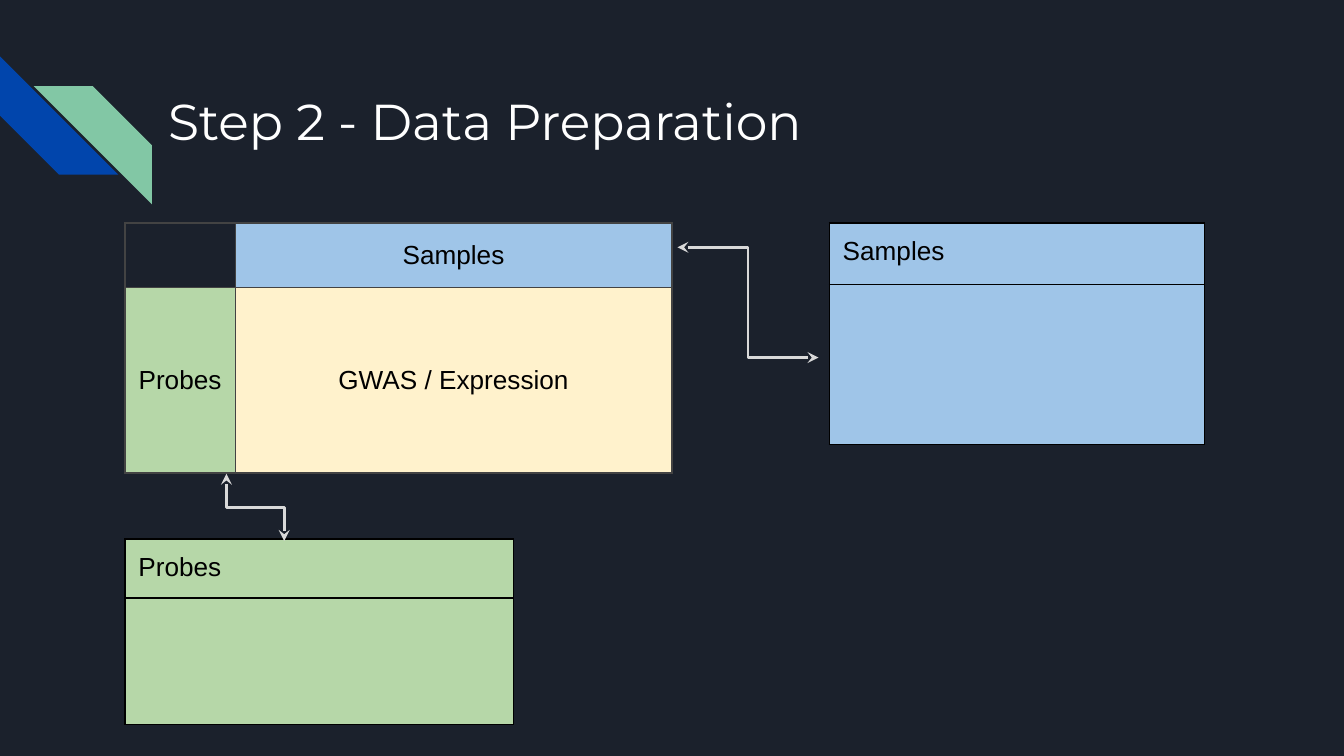
from lxml import etree
from pptx import Presentation, util as u
from pptx.dml.color import RGBColor
from pptx.enum import shapes, text
from pptx.oxml.ns import qn

WIDTH = 10
HEIGHT = WIDTH * 9 / 16
COLOURS = {
    "background": "1B212C", "white": "FFFFFF", "black": "000000",
    "stripe_blue": "0145AC", "stripe_green": "82C7A5",
    "samples": "9FC5E8", "probes": "B6D7A8", "expression": "FFF2CC",
    "grid": "434343", "arrow": "D9D9D9",
}
LEFT_EDGE, TABLE_TOP = 0.93, 1.66


def rgb(name):
    return RGBColor.from_string(COLOURS[name])


def write(frame, words, *, size=14, font="Arial", colour="black",
          align=text.PP_ALIGN.LEFT):
    paragraph = frame.paragraphs[0]
    paragraph.text = words
    paragraph.alignment = align
    paragraph.font.size = u.Pt(size)
    paragraph.font.name = font
    paragraph.font.color.rgb = rgb(colour)


def border(cell, colour, points=0.75):
    properties = cell._tc.get_or_add_tcPr()
    for position, side in enumerate(("lnL", "lnR", "lnT", "lnB")):
        line = etree.Element(qn("a:" + side), w=str(u.Pt(points)))
        fill = etree.SubElement(line, qn("a:solidFill"))
        etree.SubElement(fill, qn("a:srgbClr"), val=COLOURS[colour])
        properties.insert(position, line)


def add_heading(slide, left, top, width, height):
    title = slide.shapes.title
    title.left, title.top = u.Inches(left), u.Inches(top)
    title.width, title.height = u.Inches(width), u.Inches(height)
    frame = title.text_frame
    frame.word_wrap = True
    frame.auto_size = text.MSO_AUTO_SIZE.NONE
    frame.vertical_anchor = text.MSO_ANCHOR.TOP
    frame.margin_left = frame.margin_right = u.Inches(0.1)
    frame.margin_top = frame.margin_bottom = u.Inches(0.1)
    write(frame, "Step 2 - Data Preparation", size=27, font="Montserrat",
          colour="white")


def add_stripes(slide, left, top, size):
    """Two interlocking diagonal stripes beside the title."""
    for dx, dy, colour, turn, mirrored in (
            (0, 0, "stripe_blue", 270, False),
            (0.25, 0.22, "stripe_green", 0, True)):
        stripe = slide.shapes.add_shape(
            shapes.MSO_SHAPE.DIAGONAL_STRIPE, u.Inches(left + dx),
            u.Inches(top + dy), u.Inches(size), u.Inches(size))
        stripe.adjustments[0] = 0.5
        stripe.rotation = turn
        if mirrored:
            stripe._element.spPr.xfrm.set("flipH", "1")
        stripe.shadow.inherit = False
        stripe.fill.solid()
        stripe.fill.fore_color.rgb = rgb(colour)
        stripe.line.fill.background()


def add_grid(slide, left, top, columns, rows, cells, line, centred=False):
    """Table whose cells are (words, fill colour or None)."""
    table = slide.shapes.add_table(
        len(rows), len(columns), u.Inches(left), u.Inches(top),
        u.Inches(sum(columns)), u.Inches(sum(rows))).table
    table.first_row = table.horz_banding = False
    for column, width in zip(table.columns, columns):
        column.width = u.Inches(width)
    for row, height in zip(table.rows, rows):
        row.height = u.Inches(height)
    for cell, (words, fill) in zip(table.iter_cells(), cells):
        cell.margin_left = cell.margin_right = u.Inches(0.1)
        cell.margin_top = cell.margin_bottom = u.Inches(0.1)
        if centred:
            cell.vertical_anchor = text.MSO_ANCHOR.MIDDLE
        write(cell.text_frame, words, align=text.PP_ALIGN.CENTER if centred
              else text.PP_ALIGN.LEFT)
        if fill:
            cell.fill.solid()
            cell.fill.fore_color.rgb = rgb(fill)
        else:
            cell.fill.background()
        border(cell, line)


def add_link(slide, start, end, turn=0):
    """Elbow line with an arrowhead at each end."""
    link = slide.shapes.add_connector(
        shapes.MSO_CONNECTOR.ELBOW, *(u.Inches(v) for v in start + end))
    link.line.color.rgb = rgb("arrow")
    link.line.width = u.Pt(1.5)
    properties = link._element.spPr
    if turn:
        properties.xfrm.set("rot", str(turn * 60000))
    line = link.line._get_or_add_ln()
    for tip in ("a:headEnd", "a:tailEnd"):
        etree.SubElement(line, qn(tip), type="stealth", w="med", len="med")
    etree.SubElement(properties, qn("a:effectLst"))


def main():
    deck = Presentation()
    deck.slide_width, deck.slide_height = u.Inches(WIDTH), u.Inches(HEIGHT)
    slide = deck.slides.add_slide(deck.slide_layouts[5])
    slide.background.fill.solid()
    slide.background.fill.fore_color.rgb = rgb("background")

    # Title and its ornament
    add_heading(slide, 1.15, 0.57, 0.77 * WIDTH, 1)
    add_stripes(slide, 0, 0.42, 0.88)

    # Data matrix, then the sample and probe annotations
    add_grid(slide, LEFT_EDGE, TABLE_TOP, (0.82, 3.25), (0.48, 1.38),
             (("", None), ("Samples", "samples"),
              ("Probes", "probes"), ("GWAS / Expression", "expression")),
             "grid", centred=True)
    for words, fill, left, top, width, rows in (
            ("Samples", "samples", 6.17, TABLE_TOP, 2.79, (0.46, 1.19)),
            ("Probes", "probes", LEFT_EDGE, 4.01, 2.89, (0.44, 0.94))):
        add_grid(slide, left, top, (width,), rows,
                 ((words, fill), ("", fill)), "black")

    # Links from the matrix; the first is turned to leave it vertically
    add_link(slide, (2.15, 3.56), (1.65, 3.99), turn=270)
    add_link(slide, (5.04, 1.84), (6.09, 2.66))

    deck.save("out.pptx")


if __name__ == "__main__":
    main()
